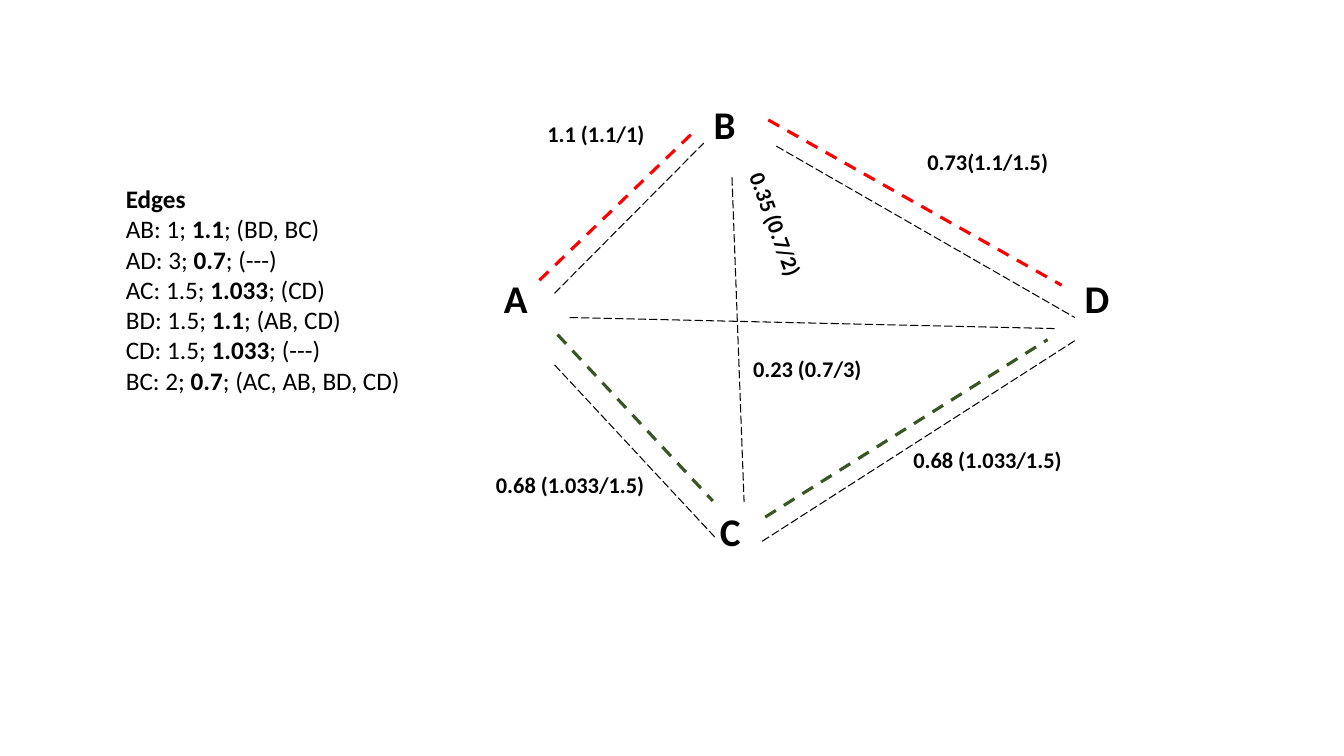
"""Build a slide with a weighted four-node graph and its list of edges."""
from lxml import etree
from pptx import Presentation
from pptx.dml.color import RGBColor
from pptx.enum import dml, shapes
from pptx.oxml.ns import qn
from pptx.util import Inches, Pt

COLORS = {"ink": "000000", "red": "FF0000", "green": "385623"}

NODES = [
    ("A", 4.9, 2.67, 0.74),
    ("D", 10.66, 2.67, 0.76),
    ("C", 7.04, 4.98, 0.69),
    ("B", 6.98, 0.95, 0.71),
]
EDGES = [
    (7.7, 1.45, 10.66, 3.15),
    (5.5, 2.91, 6.98, 1.42),
    (7.56, 5.37, 10.66, 3.38),
    (5.5, 3.62, 7.11, 5.35),
    (7.26, 1.76, 7.38, 4.98),
    (5.65, 3.15, 10.47, 3.26),
]
HIGHLIGHTS = [
    ("red", 5.35, 2.78, 6.89, 1.3),
    ("green", 5.53, 3.32, 7.07, 4.97),
    ("green", 7.59, 5.13, 10.39, 3.37),
    ("red", 7.62, 1.19, 10.53, 2.83),
]
WEIGHTS = [
    ("1.1 (1.1/1)", 5.33, 1.14, 1.26, 0),
    ("0.73(1.1/1.5)", 9.1, 1.42, 1.63, 0),
    ("0.68 (1.033/1.5)", 8.96, 4.38, 1.88, 0),
    ("0.68 (1.033/1.5)", 4.82, 4.63, 1.81, 0),
    ("0.35 (0.7/2)", 6.98, 2.15, 1.51, 69.8),
    ("0.23 (0.7/3)", 7.37, 3.47, 1.58, 0),
]
EDGE_LIST = [
    ("AB: 1; ", "1.1", "; (BD, BC)"),
    ("AD: 3; ", "0.7", "; (---)"),
    ("AC: 1.5; ", "1.033", "; (CD)"),
    ("BD: 1.5; ", "1.1", "; (AB, CD)"),
    ("CD: 1.5; ", "1.033", "; (---)"),
    ("BC: 2; ", "0.7", "; (AC, AB, BD, CD)"),
]


def rgb(name):
    """Return the named colour."""
    return RGBColor.from_string(COLORS[name])


def set_font(p, size, bold=None):
    """Format a whole paragraph."""
    p.font.name = "Calibri"
    p.font.size = Pt(size)
    p.font.bold = bold
    p.font.color.rgb = rgb("ink")


def add_box(s, x, y, w, h):
    """Add a wrapping text box and return it."""
    sp = s.shapes.add_textbox(Inches(x), Inches(y), Inches(w), Inches(h))
    sp.text_frame.word_wrap = True
    return sp


def add_label(s, label, x, y, w, h, size, angle=0):
    """Add a bold one-line label."""
    sp = add_box(s, x, y, w, h)
    sp.rotation = angle
    p = sp.text_frame.paragraphs[0]
    p.text = label
    set_font(p, size, True)


def add_edge(s, x1, y1, x2, y2, color, width, dash):
    """Add a dashed line between two points."""
    line = s.shapes.add_connector(
        shapes.MSO_CONNECTOR.STRAIGHT, Inches(x1), Inches(y1), Inches(x2), Inches(y2)
    )
    line.line.color.rgb = rgb(color)
    line.line.width = Pt(width)
    line.line.dash_style = dash
    etree.SubElement(line._element.spPr, qn("a:effectLst"))


def add_edge_list(s):
    """Add the heading and one line per edge with its value in bold."""
    tf = add_box(s, 1.15, 1.77, 3.04, 2.22).text_frame
    p = tf.paragraphs[0]
    p.text = "Edges"
    set_font(p, 18, True)
    for before, value, after in EDGE_LIST:
        p = tf.add_paragraph()
        set_font(p, 18)
        for part in (before, value, after):
            r = p.add_run()
            r.text = part
            r.font.bold = part == value


def main():
    """Build and save the slide."""
    prs = Presentation()
    prs.slide_width, prs.slide_height = Inches(13.33), Inches(7.5)
    s = prs.slides.add_slide(prs.slide_layouts[6])
    for name, x, y, w in NODES:
        add_label(s, name, x, y, w, 0.95, 28)
    for ends in EDGES:
        add_edge(s, *ends, "ink", 0.75, dml.MSO_LINE.LONG_DASH)
    for label, x, y, w, angle in WEIGHTS:
        add_label(s, label, x, y, w, 0.37, 16, angle)
    for color, *ends in HIGHLIGHTS:
        add_edge(s, *ends, color, 2.25, dml.MSO_LINE.DASH)
    add_edge_list(s)
    prs.save("out.pptx")


if __name__ == "__main__":
    main()
